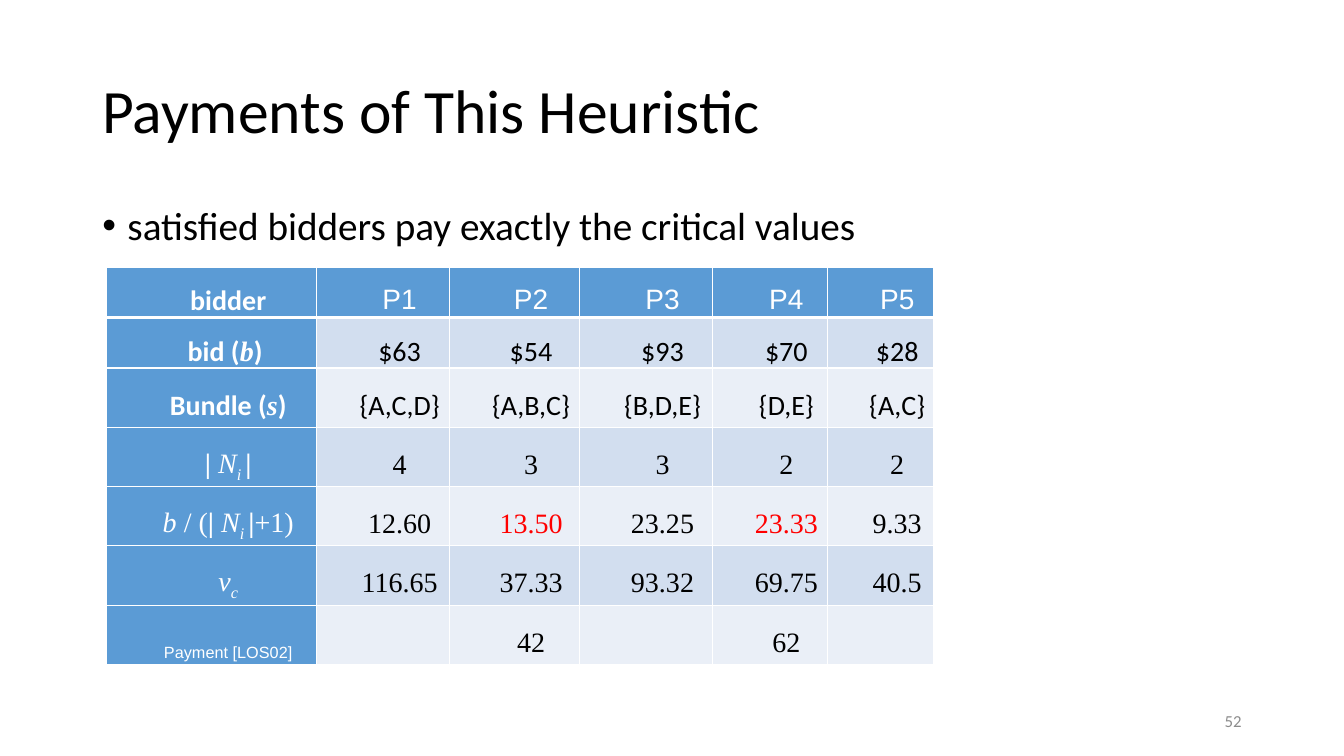
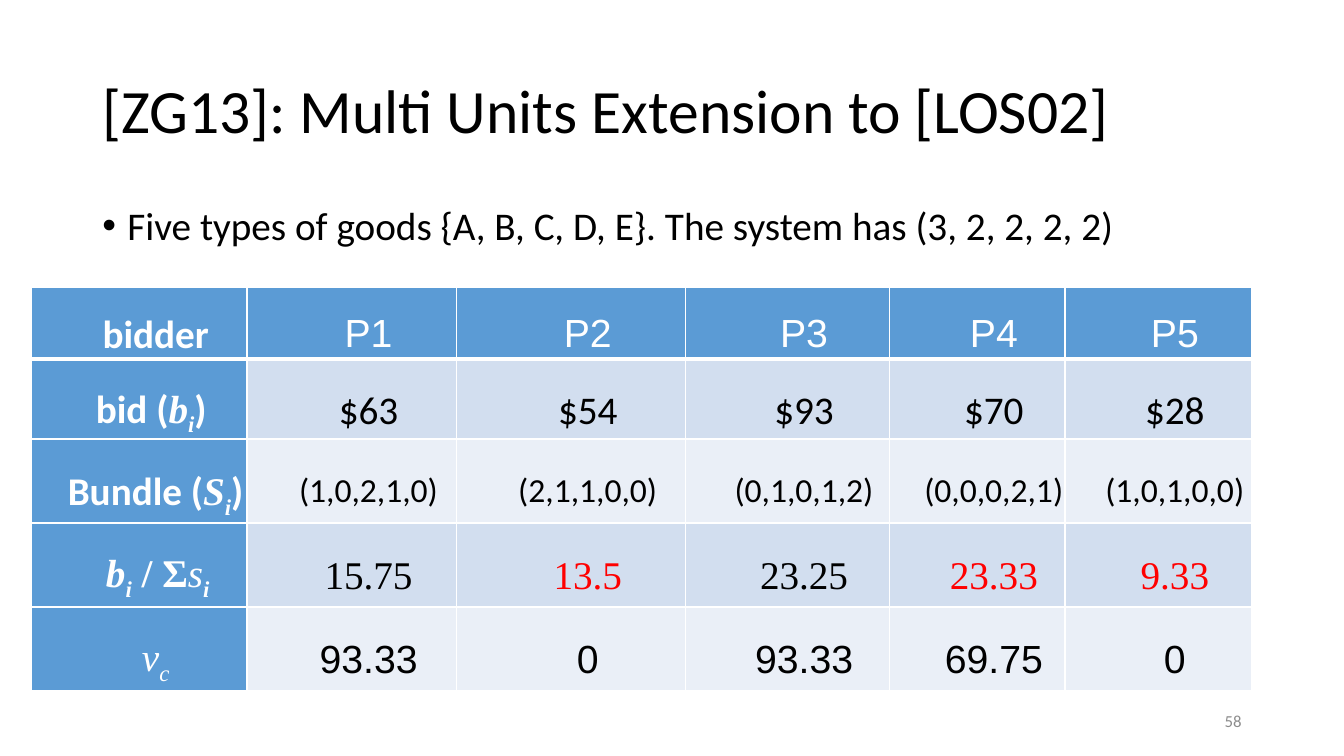
from dataclasses import dataclass

from lxml import etree
from pptx import Presentation
from pptx.dml.color import RGBColor
from pptx.enum.text import MSO_ANCHOR, PP_ALIGN
from pptx.oxml.ns import qn
from pptx.util import Inches, Pt

MIDDLE, TOP = MSO_ANCHOR.MIDDLE, MSO_ANCHOR.TOP
LEFT, CENTER, RIGHT = PP_ALIGN.LEFT, PP_ALIGN.CENTER, PP_ALIGN.RIGHT

# Grid units: twelve to the inch, 160 columns by 90 rows.
UNIT = Inches(1) // 12
COLUMNS, ROWS = 160, 90


@dataclass(frozen=True)
class Theme:
    ink: str = "000000"
    paper: str = "FFFFFF"
    muted: str = "8C8C8C"
    accent: str = "5B9BD5"
    highlight: str = "FF0000"
    bands: tuple = ("D2DEEF", "EAEFF7")
    body_font: str = "Calibri"
    math_font: str = "Times New Roman"
    plain_font: str = "Arial"
    title_size: int = 44
    body_size: int = 28
    number_size: int = 12
    thin: float = 1
    thick: float = 3


THEME = Theme()
BODY, MATH, PLAIN = THEME.body_font, THEME.math_font, THEME.plain_font
STRONG = {"name": BODY, "bold": True}
SYMBOL = {"name": MATH, "italic": True}
STRONG_SYMBOL = SYMBOL | {"bold": True}
UPRIGHT = {"name": MATH}
BAR = {"name": MATH, "bold": True}
SUBSCRIPT = {"baseline": -25000}

BIDDERS = ["P1", "P2", "P3", "P4", "P5"]
BIDS = ["$63", "$54", "$93", "$70", "$28"]
NEIGHBOURS = [("| ", BAR), ("N", SYMBOL), ("i ", SYMBOL | SUBSCRIPT), ("|", BAR)]
CRITICAL_VALUE = [("v", SYMBOL), ("c", SYMBOL | SUBSCRIPT)]


@dataclass
class Row:
    """One table row: label runs, values, and the columns shown highlighted."""
    height: float
    label: list
    values: list
    font: str = BODY
    size: int = 0
    inset: float = 0.07
    highlighted: tuple = ()


class SlideWriter:
    def __init__(self, theme):
        self.theme = theme
        self.deck = Presentation()
        self.deck.slide_width = COLUMNS * UNIT
        self.deck.slide_height = ROWS * UNIT
        self.page = None

    def start_page(self, title, bullet, number):
        theme = self.theme
        self.page = self.deck.slides.add_slide(self.deck.slide_layouts[6])
        self.text((11, 4.8, 138, 17.4), title, theme.title_size, anchor=MIDDLE)
        self.text((11, 24, 138, 57.1), bullet, theme.body_size, bulleted=True)
        self.text((113, 83.4, 36, 4.8), str(number), theme.number_size,
                  color=theme.muted, anchor=MIDDLE, align=RIGHT, spacing=1)

    def text(self, area, words, size, color=None, anchor=TOP, align=LEFT,
             spacing=0.9, bulleted=False):
        box = self.page.shapes.add_textbox(*(round(part * UNIT) for part in area))
        frame = box.text_frame
        frame.word_wrap = True
        frame.vertical_anchor = anchor
        para = frame.paragraphs[0]
        para.alignment, para.line_spacing = align, spacing
        if bulleted:
            props = para._p.get_or_add_pPr()
            props.set("marL", str(Inches(0.25)))
            props.set("indent", str(-Inches(0.25)))
            etree.SubElement(props, qn("a:buFont"), typeface=PLAIN)
            etree.SubElement(props, qn("a:buChar"), char="•")
        self.span(para, words, {"name": BODY, "size": size,
                                "color": color or self.theme.ink})

    def span(self, para, words, values):
        run = para.add_run()
        run.text = words
        values = {"bold": False, "italic": False} | values
        run.font.color.rgb = RGBColor.from_string(values.pop("color"))
        run.font.size = Pt(values.pop("size"))
        baseline = values.pop("baseline", None)
        if baseline:
            run._r.get_or_add_rPr().set("baseline", str(baseline))
        for name, value in values.items():
            setattr(run.font, name, value)

    def table(self, left, top, widths, rows, size):
        theme = self.theme
        heights = [row.height for row in rows]
        area = (left, top, sum(widths), sum(heights))
        table = self.page.shapes.add_table(
            len(rows), len(widths), *(round(part * UNIT) for part in area)).table
        table.first_row = table.horz_banding = False
        for column, width in zip(table.columns, widths):
            column.width = round(width * UNIT)
        for index, row in enumerate(rows):
            table.rows[index].height = round(row.height * UNIT)
            band = theme.accent if index == 0 else theme.bands[(index - 1) % 2]
            self.cell(table.cell(index, 0), row.label, theme.accent, index, row.inset,
                      {"color": theme.paper, "size": size})
            for place, value in enumerate(row.values):
                color = theme.paper if index == 0 else theme.ink
                if place in row.highlighted:
                    color = theme.highlight
                style = {"name": row.font, "size": row.size or size, "color": color}
                self.cell(table.cell(index, place + 1), [(value, {})] if value else [],
                          band, index, row.inset, style)

    def cell(self, cell, runs, fill, row_index, inset, style):
        self.borders(cell, row_index)
        cell.fill.solid()
        cell.fill.fore_color.rgb = RGBColor.from_string(fill)
        layout = {"vertical_anchor": MIDDLE, "margin_left": Inches(inset),
                  "margin_right": Inches(inset), "margin_top": 0, "margin_bottom": 0}
        for name, value in layout.items():
            setattr(cell, name, value)
        para = cell.text_frame.paragraphs[0]
        para.alignment, para.line_spacing = CENTER, 1.5
        para._p.get_or_add_pPr().set("indent", str(Inches(0.33)))
        for words, values in runs:
            self.span(para, words, style | values)

    def borders(self, cell, row_index):
        """Thin lines all round, with a thick one below the header row."""
        theme = self.theme
        widths = {"L": theme.thin, "R": theme.thin,
                  "T": theme.thick if row_index == 1 else theme.thin,
                  "B": theme.thick if row_index == 0 else theme.thin}
        props = cell._tc.get_or_add_tcPr()
        for side, width in widths.items():
            line = etree.SubElement(props, qn(f"a:ln{side}"), w=str(Pt(width)))
            solid = etree.SubElement(line, qn("a:solidFill"))
            etree.SubElement(solid, qn("a:srgbClr"), val=theme.paper)


def payments_page(writer):
    writer.start_page("Payments of This Heuristic",
                      "satisfied bidders pay exactly the critical values", 52)
    tall = 7.06
    rows = [
        Row(5.9, [("bidder", STRONG)], BIDDERS, PLAIN),
        Row(6, [("bid (", STRONG), ("b", STRONG_SYMBOL), (") ", STRONG)], BIDS),
        Row(tall, [("Bundle (", STRONG), ("s", STRONG_SYMBOL), (")", STRONG)],
            ["{A,C,D}", "{A,B,C}", "{B,D,E}", "{D,E}", "{A,C}"]),
        Row(tall, NEIGHBOURS, ["4", "3", "3", "2", "2"], MATH),
        Row(tall, [("b ", SYMBOL), ("/ (", UPRIGHT), *NEIGHBOURS, ("+1)", UPRIGHT)],
            ["12.60", "13.50", "23.25", "23.33", "9.33"], MATH, highlighted=(1, 3)),
        Row(tall, CRITICAL_VALUE, ["116.65", "37.33", "93.32", "69.75", "40.5"], MATH),
        Row(tall, [("Payment [LOS02]", {"name": PLAIN} | SUBSCRIPT)],
            ["", "42", "", "62", ""], MATH),
    ]
    writer.table(12.7, 31.8, [25, 15.8, 15.5, 15.8, 13.7, 12.7], rows, size=20)


def extension_page(writer):
    writer.start_page("[ZG13]: Multi Units Extension to [LOS02]",
                      "Five types of goods {A, B, C, D, E}. The system has (3, 2, 2, 2, 2)",
                      58)
    strong_index = STRONG_SYMBOL | SUBSCRIPT
    rows = [
        Row(8.5, [("bidder", STRONG)], BIDDERS, PLAIN),
        Row(8.5, [("bid (", STRONG), ("b", STRONG_SYMBOL), ("i", strong_index),
                  (") ", STRONG)], BIDS),
        Row(10, [("Bundle (", STRONG), ("S", STRONG_SYMBOL), ("i", strong_index),
                 (")", STRONG)],
            ["(1,0,2,1,0)", "(2,1,1,0,0)", "(0,1,0,1,2)", "(0,0,0,2,1)", "(1,0,1,0,0)"],
            size=24, inset=0),
        Row(10, [(" ", BAR), ("b", STRONG_SYMBOL), ("i", strong_index), (" / Σ", BAR),
                 ("s", SYMBOL), ("i ", strong_index)],
            ["15.75", "13.5", "23.25", "23.33", "9.33"], MATH, highlighted=(1, 3, 4)),
        Row(10, CRITICAL_VALUE, ["93.33", "0", "93.33", "69.75", "0"], PLAIN),
    ]
    writer.table(3.7, 34.2, [25.7, 25, 27.2, 24.3, 20.9, 22.2], rows, size=28)


def main():
    writer = SlideWriter(THEME)
    payments_page(writer)
    extension_page(writer)
    writer.deck.save("out.pptx")


if __name__ == "__main__":
    main()
